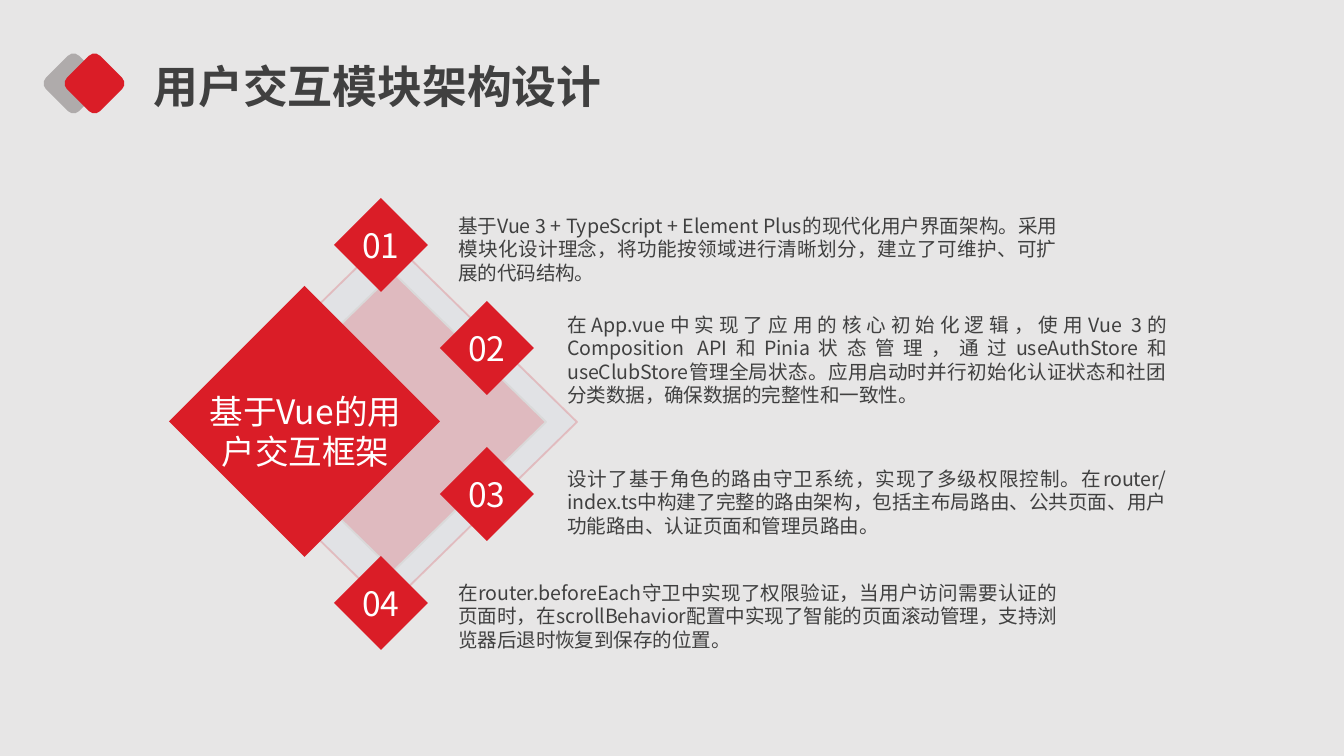
from dataclasses import dataclass

from lxml import etree
from pptx import Presentation
from pptx.dml.color import RGBColor
from pptx.enum.shapes import MSO_SHAPE
from pptx.enum.text import MSO_ANCHOR, PP_ALIGN
from pptx.oxml.ns import qn
from pptx.util import Emu, Pt

DIAMOND, ROUNDED = MSO_SHAPE.DIAMOND, MSO_SHAPE.ROUNDED_RECTANGLE
LEFT, CENTER, JUSTIFY = PP_ALIGN.LEFT, PP_ALIGN.CENTER, PP_ALIGN.JUSTIFY
TOP, MIDDLE = MSO_ANCHOR.TOP, MSO_ANCHOR.MIDDLE


@dataclass(frozen=True)
class Theme:
    font: str = "Noto Sans CJK SC"
    background: str = "E7E6E6"
    red: str = "DA1D27"
    gray: str = "AFABAB"
    pale_blue: str = "D6DCE5"
    pale_line: str = "D9D9D9"
    ink: str = "404040"
    white: str = "FFFFFF"
    title_size: float = 24
    label_size: float = 18
    body_size: float = 10.5


THEME = Theme()

TITLE = "用户交互模块架构设计"
FRAMEWORK = "基于Vue的用户交互框架"
# Diamond left and top, text left and top, text height, text
POINTS = [
    (334, 198, 445, 207, 85,
     "基于Vue 3 + TypeScript + Element Plus的现代化用户界面架构。采用模块化设计理念，"
     "将功能按领域进行清晰划分，建立了可维护、可扩展的代码结构。"),
    (440, 301, 554, 306, 109,
     "在App.vue中实现了应用的核心初始化逻辑，使用Vue 3的Composition API和Pinia状态管理，"
     "通过useAuthStore和useClubStore管理全局状态。应用启动时并行初始化认证状态和社团分类数据，"
     "确保数据的完整性和一致性。"),
    (440, 447, 554, 460, 85,
     "设计了基于角色的路由守卫系统，实现了多级权限控制。在router/index.ts中构建了完整的路由架构，"
     "包括主布局路由、公共页面、用户功能路由、认证页面和管理员路由。"),
    (334, 556, 445, 574, 85,
     "在router.beforeEach守卫中实现了权限验证，当用户访问需要认证的页面时，"
     "在scrollBehavior配置中实现了智能的页面滚动管理，支持浏览器后退时恢复到保存的位置。"),
]
TITLE_MARKS = [(50, THEME.gray), (71, THEME.red)]
# Box, fill, fill opacity, line, line opacity (percent)
BACK_DIAMONDS = [
    ((199, 237, 378, 370), THEME.pale_blue, 35, THEME.red, 20),
    ((241, 273, 305, 298), THEME.red, 20, THEME.pale_line, 100),
    ((169, 286, 271, 271), THEME.red, 100, None, 100),
]
MARK_SIZE, NUMBER_SIZE, TEXT_WIDTH = 47, 94, 626


def px(value):
    return Emu(round(value * 914400 / 134.4))


def paint(fill, color, opacity):
    fill.solid()
    fill.fore_color.rgb = RGBColor.from_string(color)
    if opacity < 100:
        tint = fill._xPr.find(qn("a:solidFill"))[0]
        etree.SubElement(tint, qn("a:alpha"), val=str(opacity * 1000))


def add_figure(shapes, kind, box, color, opacity=100, line=None, line_opacity=100):
    figure = shapes.add_shape(kind, *map(px, box))
    figure.shadow.inherit = False
    paint(figure.fill, color, opacity)
    if line:
        figure.line.width = Pt(1)
        paint(figure.line.fill, line, line_opacity)
    else:
        figure.line.fill.background()
    return figure


def write(shape, text, size, color, align, anchor=TOP, bold=False, wrap=True):
    frame = shape.text_frame
    frame.word_wrap = wrap
    frame.vertical_anchor = anchor
    paragraph = frame.paragraphs[0]
    paragraph.alignment = align
    run = paragraph.add_run()
    run.text = text
    font = run.font
    font.size, font.bold, font.name = Pt(size), bold, THEME.font
    font.color.rgb = RGBColor.from_string(color)
    etree.SubElement(run._r.get_or_add_rPr(), qn("a:ea"), typeface=THEME.font)


def add_text(shapes, box, *style):
    write(shapes.add_textbox(*map(px, box)), *style)


def main():
    deck = Presentation()
    deck.slide_width, deck.slide_height = px(1344), px(756)
    slide = deck.slides.add_slide(deck.slide_layouts[5])
    shapes = slide.shapes
    paint(slide.background.fill, THEME.background, 100)

    for left, color in TITLE_MARKS:
        mark = add_figure(shapes, ROUNDED, (left, 60, MARK_SIZE, MARK_SIZE), color)
        mark.rotation = 45
    title = shapes.title
    title.left, title.top, title.width, title.height = map(px, (140, 52, 480, 67))
    write(title, TITLE, THEME.title_size, THEME.ink, LEFT, bold=True)

    diagram = shapes.add_group_shape().shapes
    for box, *style in BACK_DIAMONDS:
        add_figure(diagram, DIAMOND, box, *style)
    for number, (left, top, text_left, text_top, height, text) in enumerate(POINTS, 1):
        badge = add_figure(diagram, DIAMOND, (left, top, NUMBER_SIZE, NUMBER_SIZE), THEME.red)
        write(badge, f"{number:02}", THEME.label_size, THEME.white, CENTER, MIDDLE, wrap=False)
        add_text(shapes, (text_left, text_top, TEXT_WIDTH, height),
                 text, THEME.body_size, THEME.ink, JUSTIFY)
    add_text(shapes, (183, 384, 245, 95), FRAMEWORK, THEME.label_size, THEME.white, CENTER)

    deck.save("out.pptx")


if __name__ == "__main__":
    main()
